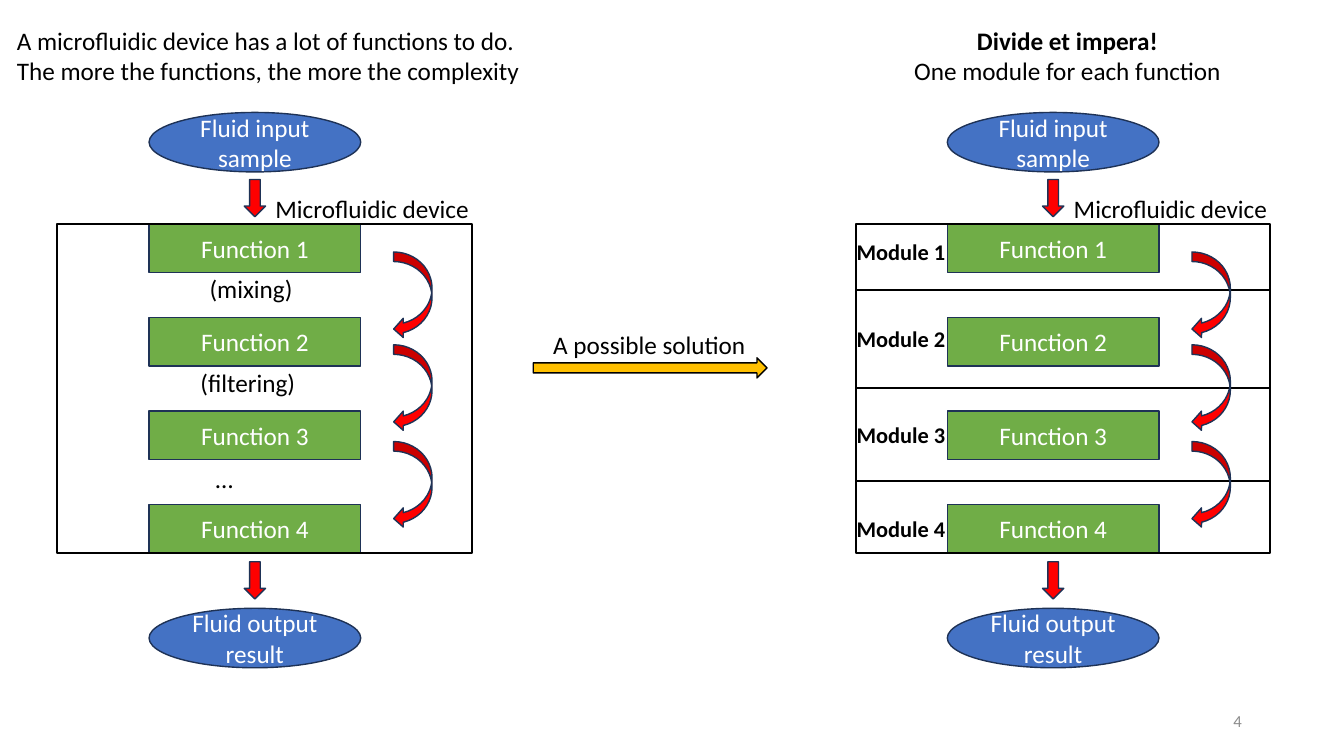
"""Build a slide that splits a microfluidic device into one module per function."""
import pptx
import pptx.dml.color
import pptx.enum.shapes
import pptx.enum.text
import pptx.util
from lxml import etree

Pt = pptx.util.Pt
RGBColor = pptx.dml.color.RGBColor
SHAPE = pptx.enum.shapes.MSO_SHAPE
ALIGN = pptx.enum.text.PP_ALIGN
ANCHOR = pptx.enum.text.MSO_ANCHOR

BLACK = RGBColor(0x00, 0x00, 0x00)
WHITE = RGBColor(0xFF, 0xFF, 0xFF)
GRAY = RGBColor(0x8C, 0x8C, 0x8C)
GREEN = RGBColor(0x70, 0xAD, 0x47)
BLUE = RGBColor(0x44, 0x72, 0xC4)
RED = RGBColor(0xFF, 0x00, 0x00)
AMBER = RGBColor(0xFF, 0xC0, 0x00)
NAVY = RGBColor(0x1E, 0x32, 0x56)

FONT = "Calibri"
PROBLEM = ["A microfluidic device has a lot of functions to do.",
           "The more the functions, the more the complexity"]
SOLUTION = ["Divide et impera!", "One module for each function"]
DEVICE_LABEL = "Microfluidic device"
FUNCTIONS = ["Function 1", "Function 2", "Function 3", "Function 4"]
INPUT, OUTPUT = "Fluid input sample", "Fluid output result"
EXAMPLES = [("(mixing)", 142.6, 191.5, 79.2), ("(filtering)", 136.1, 258.5, 89.3),
            ("…", 146.9, 327.6, 89.3)]
MODULES = [("Module 1", 166.3), ("Module 2", 229), ("Module 3", 297.4), ("Module 4", 364.3)]
DIVIDERS = [207.4, 277.4, 343.4]
STEP_ARROW_TOPS = [180, 246.3, 315.4]

DEVICE_LEFTS = [41, 611.2]
DEVICE_TOP, DEVICE_WIDTH, DEVICE_HEIGHT = 160, 296, 234.8
FUNCTION_OFFSET, FUNCTION_WIDTH, FUNCTION_HEIGHT = 65.5, 151.2, 34.6
FUNCTION_PITCH = (DEVICE_HEIGHT - FUNCTION_HEIGHT) / (len(FUNCTIONS) - 1)
ELLIPSE_HEIGHT = 42.5
FLOW_WIDTH, FLOW_HEIGHT = 15.2, 26.6


def write(frame, text, size=18, color=BLACK, bold=(False,), align=ALIGN.LEFT,
          anchor=ANCHOR.TOP, wrap=True):
    """Fill a text frame, one paragraph per line; bold gives one flag per line, repeated."""
    lines = [text] if isinstance(text, str) else text
    frame.word_wrap = wrap
    frame.vertical_anchor = anchor
    for index, line in enumerate(lines):
        paragraph = frame.add_paragraph() if index else frame.paragraphs[0]
        paragraph.alignment = align
        run = paragraph.add_run()
        run.text = line
        run.font.name = FONT
        run.font.size = Pt(size)
        run.font.bold = bold[index % len(bold)]
        run.font.color.rgb = color


def add_label(slide, text, left, top, width, height=29.1, **text_format):
    box = slide.shapes.add_textbox(Pt(left), Pt(top), Pt(width), Pt(height))
    write(box.text_frame, text, **text_format)


def add_block(slide, kind, left, top, width, height, fill=None, line=NAVY, weight=1, text=None):
    shape = slide.shapes.add_shape(kind, Pt(left), Pt(top), Pt(width), Pt(height))
    shape.shadow.inherit = False
    if fill is None:
        shape.fill.background()
    else:
        shape.fill.solid()
        shape.fill.fore_color.rgb = fill
    shape.line.color.rgb = line
    shape.line.width = Pt(weight)
    if text:
        write(shape.text_frame, text, color=WHITE, align=ALIGN.CENTER, anchor=ANCHOR.MIDDLE)
    return shape


def add_device(slide, left):
    function_left = left + FUNCTION_OFFSET
    flow_left = function_left + (FUNCTION_WIDTH - FLOW_WIDTH) / 2
    for index, name in enumerate(FUNCTIONS):
        add_block(slide, SHAPE.RECTANGLE, function_left, DEVICE_TOP + index * FUNCTION_PITCH,
                  FUNCTION_WIDTH, FUNCTION_HEIGHT, GREEN, text=name)
    for name, top, flow_top in [(INPUT, 80.3, 128.2), (OUTPUT, 434.5, 401.3)]:
        add_block(slide, SHAPE.OVAL, function_left, top, FUNCTION_WIDTH, ELLIPSE_HEIGHT,
                  BLUE, text=name)
        add_block(slide, SHAPE.DOWN_ARROW, flow_left, flow_top, FLOW_WIDTH, FLOW_HEIGHT, RED)
    device = add_block(slide, SHAPE.RECTANGLE, left, DEVICE_TOP, DEVICE_WIDTH, DEVICE_HEIGHT,
                       line=BLACK, weight=1.5)
    add_label(slide, DEVICE_LABEL, left + 148.7, 134.3, 154.1, wrap=False)
    return device


def add_step_arrows(slide, left):
    for top in STEP_ARROW_TOPS:
        add_block(slide, SHAPE.CURVED_LEFT_ARROW, left + 240.2, top, 27.4, 61.9, RED)


def add_dividers(slide, device, left):
    middle = DEVICE_TOP + DEVICE_HEIGHT / 2
    for top in DIVIDERS:
        divider = slide.shapes.add_connector(
            pptx.enum.shapes.MSO_CONNECTOR.STRAIGHT,
            Pt(left), Pt(top), Pt(left + DEVICE_WIDTH), Pt(top))
        divider.line.color.rgb = BLACK
        divider.line.width = Pt(1.5)
        etree.SubElement(divider.element.spPr, pptx.oxml.ns.qn("a:effectLst"))
        if abs(top - middle) < 0.5:
            divider.begin_connect(device, 1)
            divider.end_connect(device, 3)


def main():
    presentation = pptx.Presentation()
    presentation.slide_width, presentation.slide_height = Pt(960), Pt(540)
    slide = presentation.slides.add_slide(presentation.slide_layouts[6])
    problem_left, solution_left = DEVICE_LEFTS

    add_label(slide, PROBLEM, 5, 14.4, 378.7, 51, wrap=False)
    add_device(slide, problem_left)
    add_step_arrows(slide, problem_left)
    for text, left, top, width in EXAMPLES:
        add_label(slide, text, left, top, width)

    add_label(slide, "A possible solution", 388.1, 231.8, 153.4, wrap=False)
    add_block(slide, SHAPE.RIGHT_ARROW, 380.9, 255.6, 167, 14.4, AMBER, line=BLACK)

    add_label(slide, SOLUTION, 641.5, 14.4, 242, 51, bold=(True, False),
              align=ALIGN.CENTER, wrap=False)
    device = add_device(slide, solution_left)
    add_dividers(slide, device, solution_left)
    for text, top in MODULES:
        add_label(slide, text, solution_left - 6.4, top, 78.5, 26.6, size=16, bold=(True,),
                  wrap=False)
    add_step_arrows(slide, solution_left)
    add_label(slide, "4", 678.2, 500.4, 216, 28.8, size=12, color=GRAY,
              align=ALIGN.RIGHT, anchor=ANCHOR.MIDDLE)
    presentation.save("out.pptx")


if __name__ == "__main__":
    main()
